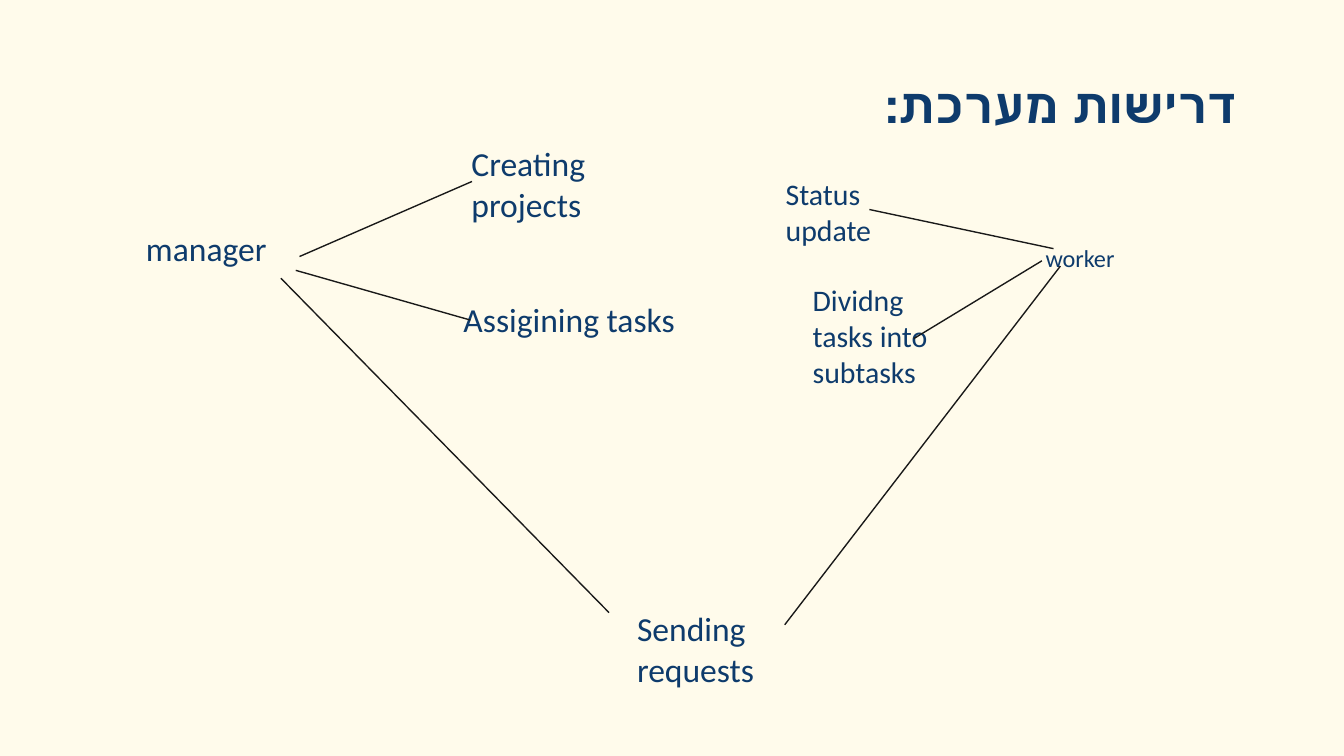
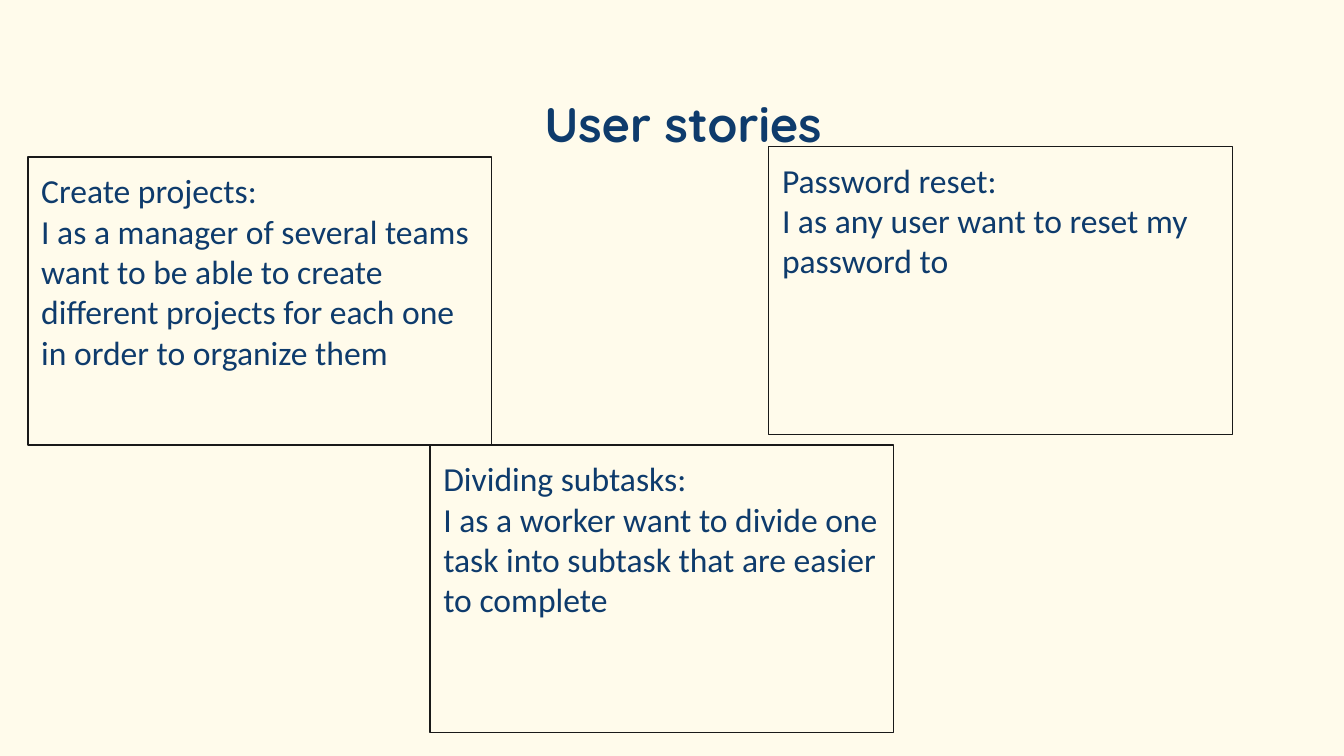
from lxml.etree import SubElement
from pptx import Presentation
from pptx.dml.color import RGBColor
from pptx.enum.shapes import MSO_CONNECTOR, MSO_SHAPE
from pptx.enum.text import MSO_ANCHOR, MSO_AUTO_SIZE, PP_ALIGN
from pptx.oxml.ns import qn
from pptx.util import Cm, Pt

PAPER, NAVY, INK = "FFFBEB", "0E3B6C", "191919"
HEAD, BODY = "Quicksand", "Calibri"
INSET = Cm(0.25)

# text, size, (left, top, width, height) in cm
LABELS = [
    ("worker", 13, (19.51, 4.27, 2.72, 1.7)),
    ("manager", 18, (2.51, 4.06, 5.87, 3.51)),
    ("Creating projects", 18, (8.66, 2.46, 4.42, 1.37)),
    ("Assigining tasks", 18, (8.51, 5.41, 5.33, 2.36)),
    ("Status update", 16, (14.6, 3.07, 3.23, 1.7)),
    ("Dividng tasks into subtasks", 16, (15.11, 5.08, 2.92, 1.85)),
    ("Sending requests", 18, (11.79, 11.25, 4.42, 2.36)),
]

# role end, then task end, in cm
LINKS = [
    (5.66, 4.85, 8.92, 3.43),
    (5.59, 5.11, 8.89, 6.05),
    (5.31, 5.26, 11.51, 11.58),
    (19.91, 4.7, 16.43, 3.96),
    (19.69, 4.93, 17.27, 6.4),
    (20.04, 5.03, 14.83, 11.81),
]

CARD = (8.76, 5.44)
STORIES = [
    ((0.53, 2.97), "Create projects:",
     "I as a manager of several teams want to be able to create different "
     "projects for each one in order to organize them"),
    ((14.53, 2.77), "Password reset:",
     "I as any user want to reset my password to"),
    ((8.13, 8.41), "Dividing subtasks:",
     "I as a worker want to divide one task into subtask that are easier "
     "to complete"),
]


def color(code):
    return RGBColor.from_string(code)


def lengths(values):
    return [Cm(v) for v in values]


def write(shape, lines, size, face=BODY, bold=False, align=PP_ALIGN.LEFT,
          anchor=MSO_ANCHOR.TOP):
    """Fill a shape with one paragraph per line, all in one style."""
    frame = shape.text_frame
    frame.word_wrap = True
    frame.auto_size = MSO_AUTO_SIZE.NONE
    frame.vertical_anchor = anchor
    frame.margin_left = frame.margin_right = INSET
    frame.margin_top = frame.margin_bottom = INSET
    for i, line in enumerate(lines):
        para = frame.add_paragraph() if i else frame.paragraphs[0]
        para.alignment = align
        run = para.add_run()
        run.text = line
        font = run.font
        font.name, font.size, font.bold = face, Pt(size), bold
        font.color.rgb = color(NAVY)
    return frame.paragraphs[0]


def ink(line):
    line.color.rgb = color(INK)
    line.width = Pt(0.75)


def add_slide(deck, text, left, top, align):
    """Add a titled slide; return it with the title's paragraph."""
    slide = deck.slides.add_slide(deck.slide_layouts[5])
    title = slide.shapes.title
    title.left, title.top, title.width, title.height = lengths(
        (left, top, 21.34, 2.01))
    para = write(title, [text], 26, HEAD, True, align, MSO_ANCHOR.BOTTOM)
    return slide, para


def add_link(slide, ends):
    link = slide.shapes.add_connector(MSO_CONNECTOR.STRAIGHT, *lengths(ends))
    ink(link.line)
    SubElement(link._element.spPr, qn("a:effectLst"))


def add_card(slide, spot, lines):
    card = slide.shapes.add_shape(MSO_SHAPE.RECTANGLE, *lengths(spot + CARD))
    card.shadow.inherit = False
    card.fill.background()
    ink(card.line)
    write(card, lines, 18)


def draw_needs(deck):
    slide, title = add_slide(deck, "דרישות מערכת:", 2.31, 0.76, PP_ALIGN.RIGHT)
    title._p.get_or_add_pPr().set("rtl", "1")
    for text, size, place in LABELS:
        box = slide.shapes.add_textbox(*lengths(place))
        para = write(box, [text], size)
        if text == "worker":
            para.line_spacing = 1.15
            para.space_after = Pt(12)
    for ends in LINKS:
        add_link(slide, ends)


def draw_stories(deck):
    slide, _ = add_slide(deck, "User stories", 2.24, 1.12, PP_ALIGN.CENTER)
    for spot, *lines in STORIES:
        add_card(slide, spot, lines)


def main():
    deck = Presentation()
    deck.slide_width, deck.slide_height = Cm(25.4), Cm(14.29)
    back = deck.slide_master.background.fill
    back.solid()
    back.fore_color.rgb = color(PAPER)
    draw_needs(deck)
    draw_stories(deck)
    deck.save("out.pptx")


if __name__ == "__main__":
    main()
